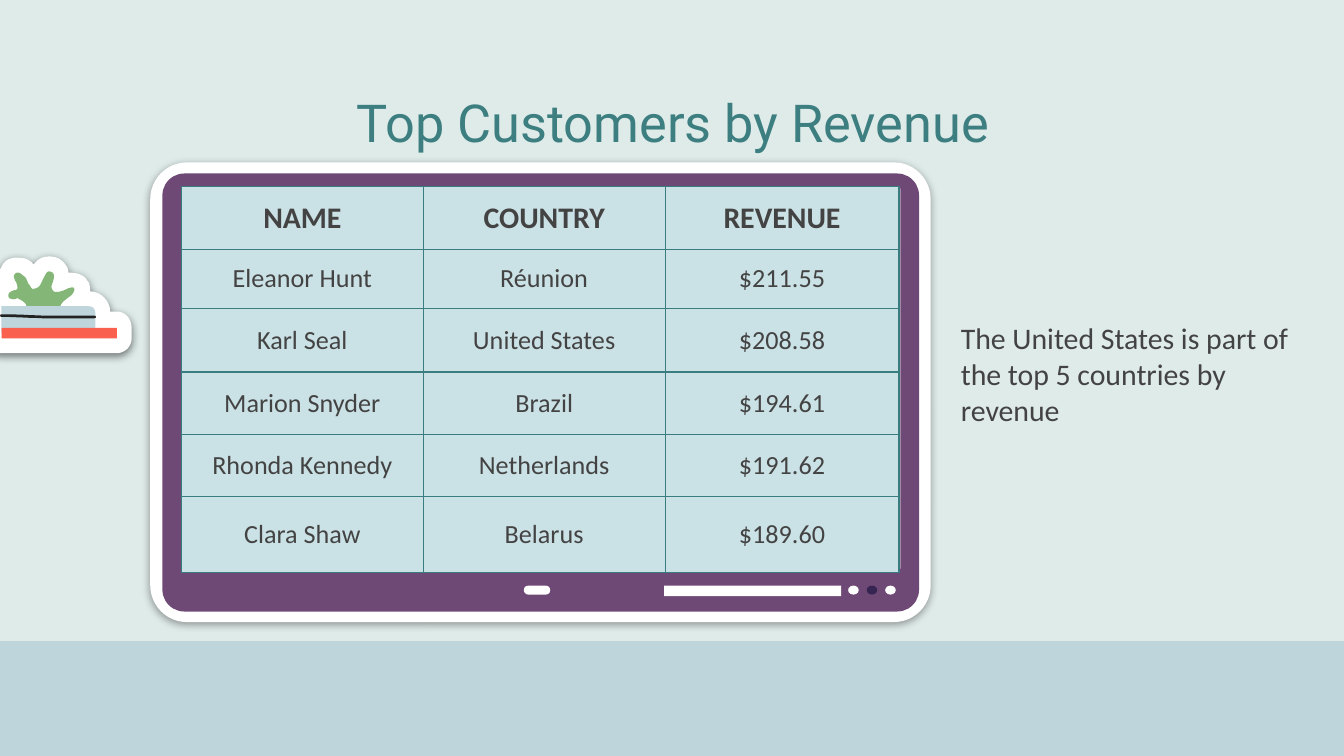
import pptx
import pptx.util
import pptx.oxml
import pptx.dml.color
import pptx.enum.shapes
import pptx.enum.text
from pptx.util import Cm

HUES = {
    "back": "DEEBE9", "floor": "BED5DC", "white": "FFFFFF", "leaf": "84B678",
    "red": "F9604D", "ink": "222221", "plum": "6F4975", "night": "362553",
    "teal": "3D7E81", "edge": "3A7D80", "cell": "CAE1E5", "text": "444343",
    "black": "000000",
}
KINDS = pptx.enum.shapes.MSO_SHAPE
ALIGN = pptx.enum.text.PP_ALIGN
MIDDLE = pptx.enum.text.MSO_ANCHOR.MIDDLE
SPACE = 'xmlns:a="http://schemas.openxmlformats.org/drawingml/2006/main"'

CLOUD = [
    (36, 191), (32, 191, 28, 193, 25, 197), (22, 193, 18, 192, 15, 192),
    (8, 191, 3, 194, 1, 199), (-1, 202, -1, 206, -1, 210),
    (-4, 213, -5, 216, -5, 218), (-8, 220, -11, 224, -11, 228), (-11, 252),
    (-11, 258, -6, 263, 1, 263), (87, 263), (93, 263, 98, 258, 98, 252),
    (98, 244), (98, 237, 93, 232, 87, 232), (82, 232),
    (82, 224, 75, 217, 67, 217), (67, 214, 67, 211, 65, 209),
    (63, 205, 58, 203, 51, 203), (51, 200, 49, 197, 47, 195),
    (44, 192, 41, 191, 36, 191),
]
LEAF = [
    (37, 202), (35, 202, 34, 204, 33, 206), (32, 208, 31, 210, 30, 212),
    (29, 214, 27, 215, 24, 215), (23, 214, 22, 212, 21, 211),
    (20, 208, 19, 206, 17, 205), (15, 203, 13, 202, 11, 204),
    (10, 205, 10, 207, 12, 210), (13, 212, 13, 214, 13, 215),
    (12, 216, 12, 216, 11, 216), (10, 216, 8, 217, 7, 218),
    (6, 219, 6, 221, 7, 222), (9, 223, 11, 223, 13, 222),
    (15, 223, 17, 224, 19, 226), (20, 228, 21, 231, 21, 233), (45, 231),
    (44, 228, 46, 225, 49, 223), (51, 221, 54, 220, 55, 217),
    (56, 215, 55, 214, 54, 214), (52, 214, 50, 215, 48, 216),
    (45, 217, 43, 218, 40, 217), (38, 215, 38, 213, 39, 211),
    (40, 208, 42, 203, 37, 202),
]
BOOK = [
    (1, 228), (1, 248), (66, 248), (69, 248, 71, 246, 71, 243), (71, 233),
    (71, 230, 69, 228, 66, 228),
]
STROKE = [
    (6, 234), (1, 234), (0, 234, 0, 236, 1, 236), (13, 236, 24, 237, 36, 237),
    (70, 237), (72, 237, 72, 235, 70, 235), (36, 235),
    (24, 235, 14, 234, 6, 234),
]
ROWS = [
    ("NAME", "COUNTRY", "REVENUE"),
    ("Eleanor Hunt", "Réunion", "$211.55"),
    ("Karl Seal", "United States", "$208.58"),
    ("Marion Snyder", "Brazil", "$194.61"),
    ("Rhonda Kennedy", "Netherlands", "$191.62"),
    ("Clara Shaw", "Belarus", "$189.60"),
]
WIDTHS = (4.57, 4.57, 4.42)
HEIGHTS = (1.18, 1.12, 1.2, 1.18, 1.18, 1.43)


def trace(curve):
    """Turn lines and cubic curves into points in tenths of a unit."""
    last = curve[0]
    points = [last]
    for step in curve[1:]:
        if len(step) == 2:
            points.append(step)
        else:
            nodes = (last, step[:2], step[2:4], step[4:])
            for i in range(1, 9):
                t = i / 8
                parts = ((1 - t) ** 3, 3 * t * (1 - t) ** 2, 3 * t * t * (1 - t), t ** 3)
                points.append(tuple(sum(p * n[k] for p, n in zip(parts, nodes)) for k in (0, 1)))
        last = step[-2:]
    return [(x * 10, y * 10) for x, y in points]


class Board:
    """Hold the style and the current slide."""

    def __init__(self, deck):
        self.slide = deck.slides.add_slide(deck.slide_layouts[6])
        self.shapes = self.slide.shapes
        self.paint(self.slide.background.fill, "back")

    def hue(self, name):
        return pptx.dml.color.RGBColor.from_string(HUES[name])

    def paint(self, fill, name):
        fill.solid()
        fill.fore_color.rgb = self.hue(name)

    def finish(self, shape, fill, shade=None):
        shape.shadow.inherit = False
        self.paint(shape.fill, fill)
        shape.line.fill.background()
        if shade:
            glow = pptx.oxml.parse_xml(
                f'<a:outerShdw {SPACE} blurRad="57150" dist="19050" dir="5400000" algn="bl" rotWithShape="0">'
                f'<a:srgbClr val="{HUES[shade]}"><a:alpha val="50000"/></a:srgbClr></a:outerShdw>')
            shape.element.spPr.find(pptx.oxml.ns.qn("a:effectLst")).append(glow)

    def block(self, box, fill, kind=KINDS.RECTANGLE, bend=None, shade=None):
        shape = self.shapes.add_shape(kind, *map(Cm, box))
        if bend:
            shape.adjustments[0] = bend
        self.finish(shape, fill, shade)

    def curve(self, curve, fill, shade=None):
        points = trace(curve)
        pen = self.shapes.build_freeform(*points[0], scale=Cm(0.00254))
        pen.add_line_segments(points[1:])
        self.finish(pen.convert_to_shape(), fill, shade)

    def letter(self, frame, words, size, font, color, align, bold=False):
        frame.text = words
        part = frame.paragraphs[0]
        part.alignment = align
        face = part.runs[0].font
        face.size, face.name, face.bold = pptx.util.Pt(size), font, bold
        face.color.rgb = self.hue(color)

    def label(self, box, words, size, font, color, align, anchor):
        frame = self.shapes.add_textbox(*map(Cm, box)).text_frame
        frame.word_wrap = True
        frame.vertical_anchor = anchor
        self.letter(frame, words, size, font, color, align)

    def table(self, left, top, rows, widths, heights):
        grid = self.shapes.add_table(
            len(rows), len(widths), Cm(left), Cm(top), Cm(sum(widths)), Cm(sum(heights))).table
        grid.first_row = grid.horz_banding = False
        for col, width in zip(grid.columns, widths):
            col.width = Cm(width)
        for i, (row, height) in enumerate(zip(rows, heights)):
            grid.rows[i].height = Cm(height)
            for j, words in enumerate(row):
                self.cell(grid.cell(i, j), words, i == 0)

    def cell(self, cell, words, head):
        self.letter(cell.text_frame, words, 16 if head else 14, "Calibri", "text", ALIGN.CENTER, head)
        cell.vertical_anchor = MIDDLE
        cell.margin_left = cell.margin_right = cell.margin_top = cell.margin_bottom = Cm(0.25)
        props = cell._tc.get_or_add_tcPr()
        for side in "LRTB":
            props.append(pptx.oxml.parse_xml(
                f'<a:ln{side} {SPACE} w="9525"><a:solidFill><a:srgbClr val="{HUES["edge"]}"/>'
                f'</a:solidFill></a:ln{side}>'))
        self.paint(cell.fill, "cell")


def main():
    deck = pptx.Presentation()
    deck.slide_width, deck.slide_height = Cm(25.4), Cm(14.29)
    board = Board(deck)
    board.block((0, 12.12, 25.4, 2.17), "floor")

    board.curve(CLOUD, "white", "black")
    board.curve(LEAF, "leaf")
    board.curve(BOOK, "floor")
    board.block((0.03, 6.2, 2.18, 0.2), "red")
    board.curve(STROKE, "ink")

    pill = KINDS.ROUNDED_RECTANGLE
    board.block((2.84, 3.07, 14.75, 8.69), "white", pill, 0.08, "text")
    board.block((3.07, 3.28, 14.3, 8.28), "plum", pill, 0.05)
    board.block((3.43, 3.56, 13.59, 7.19), "white")
    board.block((9.9, 11.07, 0.5, 0.17), "white", pill, 0.5)
    for i, fill in enumerate(("white", "night", "white")):
        board.block((16.03 + 0.35 * i, 11.07, 0.2, 0.17), fill, KINDS.OVAL)
    board.block((12.55, 11.07, 3.35, 0.2), "white")

    board.label((2.01, 1.5, 21.41, 1.6), "Top Customers by Revenue",
                28, "Roboto", "teal", ALIGN.CENTER, MIDDLE)
    board.table(3.43, 3.53, ROWS, WIDTHS, HEIGHTS)
    board.label((17.91, 5.92, 7.06, 4.6),
                "The United States is part of the top 5 countries by revenue",
                16, "Calibri", "text", ALIGN.LEFT, pptx.enum.text.MSO_ANCHOR.TOP)
    deck.save("out.pptx")


if __name__ == "__main__":
    main()
